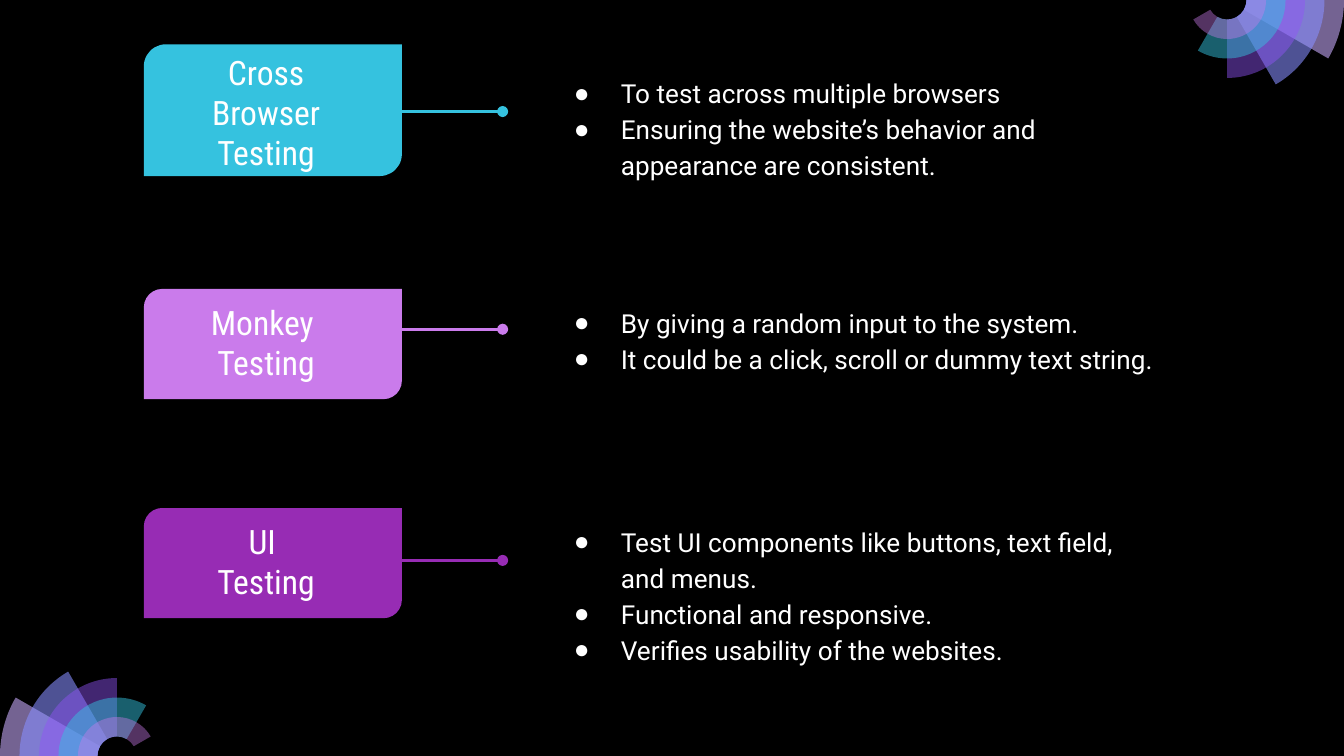
import math

import pptx
import pptx.dml.color
import pptx.enum.shapes
import pptx.enum.text
import pptx.oxml.ns
import pptx.util
from lxml import etree

Inches, Pt = pptx.util.Inches, pptx.util.Pt
RGBColor = pptx.dml.color.RGBColor
qn = pptx.oxml.ns.qn

BLACK = RGBColor(0x00, 0x00, 0x00)
WHITE = RGBColor(0xFF, 0xFF, 0xFF)
CYAN = RGBColor(0x35, 0xC2, 0xDF)
PINK = RGBColor(0xCA, 0x7B, 0xEB)
PURPLE = RGBColor(0x97, 0x2C, 0xB4)
LILAC = RGBColor(0xC8, 0xAC, 0xFD)
BLUE = RGBColor(0x87, 0x8F, 0xFF)
VIOLET = RGBColor(0x91, 0x54, 0xF8)

WIDTH, HEIGHT = 10, 5.625
UNIT = 0.145  # width of one ring of a fan

# Rings of a fan from the outside in: colour, opacity in percent
RINGS = [(LILAC, 58), (BLUE, 58), (VIOLET, 46), (CYAN, 49), (PINK, 42)]

# Colour, card top and height, label top, line height, list top and height
ROWS = [
    (CYAN, 0.33, 0.98, 0.62, 0.83, 0.44, 1.51, ["Cross Browser", "Testing"],
     ["To test across multiple browsers",
      "Ensuring the website’s behavior and appearance are consistent."]),
    (PINK, 2.15, 0.82, 2.33, 2.45, 2.15, 0.98, ["Monkey ", "Testing"],
     ["By giving a random input to the system.",
      "It could be a click, scroll or dummy text string."]),
    (PURPLE, 3.78, 0.82, 3.96, 4.17, 3.78, 1.51, ["UI ", "Testing"],
     ["Test UI components like buttons, text field, and menus.",
      "Functional and responsive.",
      "Verifies usability of the websites."]),
]


def bend(r, start, end):
    """Return the three Bezier points that follow an arc from start to end."""
    a, b = math.radians(start), math.radians(end)
    k = 4 / 3 * math.tan((b - a) / 4) * r
    return [(r * math.cos(a) - k * math.sin(a), r * math.sin(a) + k * math.cos(a)),
            (r * math.cos(b) + k * math.sin(b), r * math.sin(b) - k * math.cos(b)),
            (r * math.cos(b), r * math.sin(b))]


def trace(r, stops):
    """Return the Bezier points of an arc through the given angles."""
    return [p for a, b in zip(stops, stops[1:]) for p in bend(r, a, b)]


class Deck:
    head, body, mark = "Roboto Condensed", "Roboto", "Arial"

    def __init__(self, slide):
        self.slide = slide
        self.shapes = slide.shapes

    def paint(self, shape, color):
        shape.shadow.inherit = False
        shape.fill.solid()
        shape.fill.fore_color.rgb = color
        shape.line.fill.background()

    def curve(self, shape, start, count):
        """Join each three of the line steps from start on into one curve."""
        steps = shape._element.findall(".//" + qn("a:lnTo"))[start:]
        for i in range(0, 3 * count, 3):
            curve = etree.Element(qn("a:cubicBezTo"))
            steps[i].addprevious(curve)
            for step in steps[i:i + 3]:
                curve.append(step[0])
                step.getparent().remove(step)

    def fan(self, x, y, sign):
        """Draw ring sectors about a centre; sign -1 turns them by 180 degrees."""
        for i, (color, alpha) in enumerate(RINGS):
            sweep, outer = 30 * (i + 1), (6 - i) * UNIT
            stops = [0, sweep] if sweep <= 90 else [0, 90, sweep]
            end = math.radians(sweep)
            dots = [(outer, 0)] + trace(outer, stops)
            dots += [(UNIT * math.cos(end), UNIT * math.sin(end))]
            dots += trace(UNIT, stops[::-1])
            points = [(Inches(x - sign * u), Inches(y - sign * v)) for u, v in dots]
            path = self.shapes.build_freeform(*points[0], scale=1.0)
            path.add_line_segments(points[1:], close=True)
            ring = path.convert_to_shape()
            count = len(stops) - 1
            self.curve(ring, 3 * count + 1, count)
            self.curve(ring, 0, count)
            self.paint(ring, color)
            tint = ring._element.spPr.find(".//" + qn("a:srgbClr"))
            etree.SubElement(tint, qn("a:alpha"), val=str(alpha * 1000))

    def card(self, y, h, color):
        kind = pptx.enum.shapes.MSO_SHAPE.ROUND_2_DIAG_RECTANGLE
        card = self.shapes.add_shape(
            kind, Inches(1.07), Inches(y), Inches(1.92), Inches(h))
        card.adjustments[0] = 0.167
        self.paint(card, color)

    def text(self, x, y, w, h, lines, font, size, side):
        """Add a text box and return its frame."""
        frame = self.shapes.add_textbox(
            Inches(x), Inches(y), Inches(w), Inches(h)).text_frame
        frame.word_wrap = True
        frame.margin_left = frame.margin_right = Inches(side)
        frame.margin_top = frame.margin_bottom = Inches(0.1)
        frame.text = "\n".join(lines)
        for para in frame.paragraphs:
            for run in para.runs:
                run.font.name = font
                run.font.size = Pt(size)
                run.font.color.rgb = WHITE
        return frame

    def label(self, y, lines):
        frame = self.text(1.34, y, 1.28, 0.43, lines, self.head, 18, 0.1)
        frame.vertical_anchor = pptx.enum.text.MSO_ANCHOR.MIDDLE
        for para in frame.paragraphs:
            para.alignment = pptx.enum.text.PP_ALIGN.CENTER

    def list(self, y, h, lines):
        frame = self.text(3.82, y, 5.1, h, lines, self.body, 14, 0.3)
        for para in frame.paragraphs:
            para.line_spacing = 1.15
            props = para._p.get_or_add_pPr()
            props.set("marL", str(Inches(0.5)))
            props.set("indent", str(Inches(-0.35)))
            tint = etree.SubElement(props, qn("a:buClr"))
            etree.SubElement(tint, qn("a:srgbClr"), val=str(WHITE))
            etree.SubElement(props, qn("a:buFont"), typeface=self.mark)
            etree.SubElement(props, qn("a:buChar"), char="●")

    def line(self, y, color):
        line = self.shapes.add_connector(
            pptx.enum.shapes.MSO_CONNECTOR.STRAIGHT,
            Inches(2.99), Inches(y), Inches(3.74), Inches(y))
        line.line.color.rgb = color
        line.line.width = Pt(1.5)
        etree.SubElement(line.line._get_or_add_ln(), qn("a:tailEnd"), type="oval")
        etree.SubElement(line._element.spPr, qn("a:effectLst"))


def main():
    prs = pptx.Presentation()
    prs.slide_width, prs.slide_height = Inches(WIDTH), Inches(HEIGHT)
    deck = Deck(prs.slides.add_slide(prs.slide_layouts[6]))

    # Background and corner fans
    back = deck.slide.background.fill
    back.solid()
    back.fore_color.rgb = BLACK
    deck.fan(6 * UNIT, HEIGHT, 1)
    deck.fan(WIDTH - 6 * UNIT, 0, -1)

    # One row for each kind of testing
    for color, top, tall, name_y, line_y, list_y, list_h, name, items in ROWS:
        deck.card(top, tall, color)
        deck.label(name_y, name)
        deck.list(list_y, list_h, items)
        deck.line(line_y, color)

    prs.save("out.pptx")


if __name__ == "__main__":
    main()
